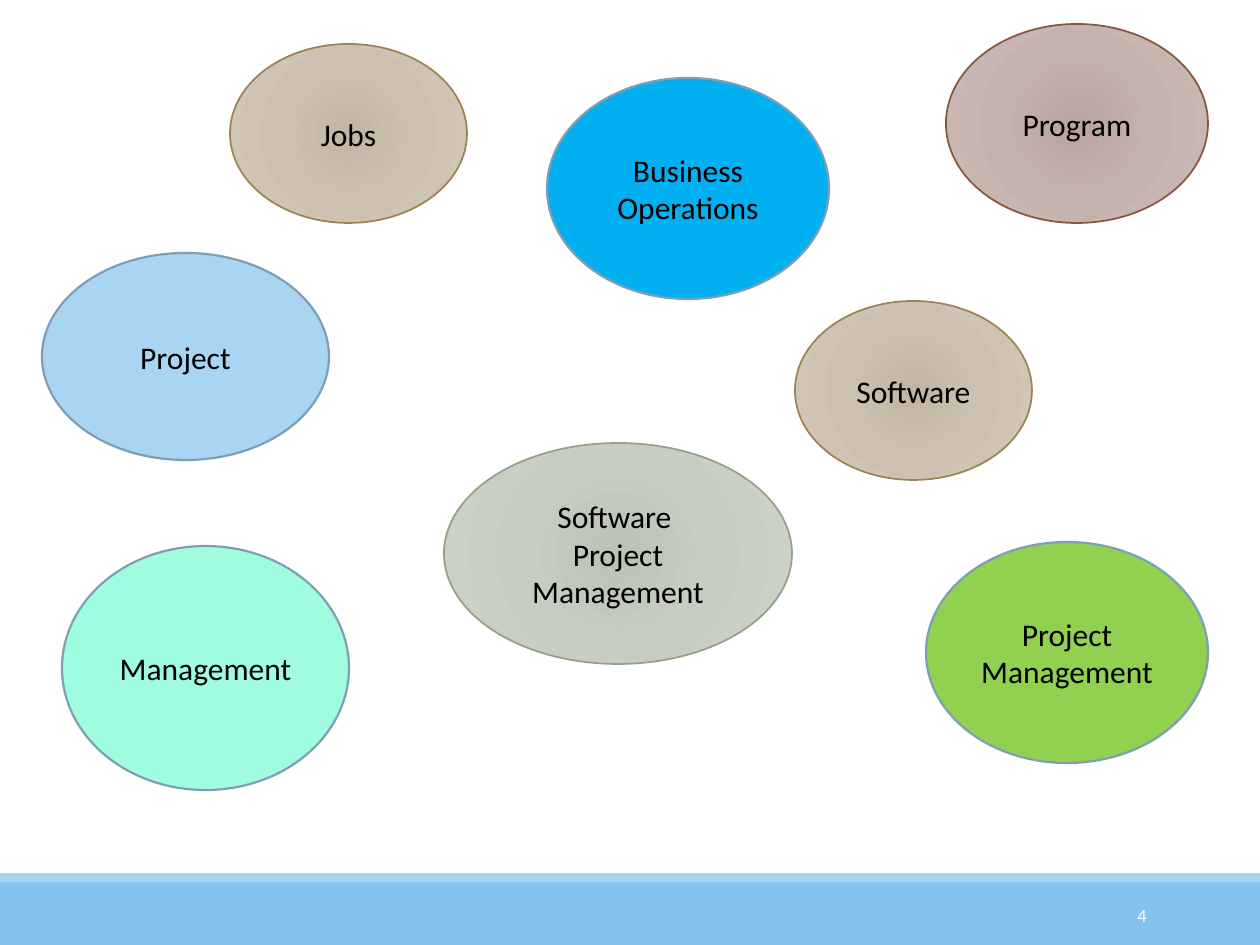
from pptx import Presentation
from pptx.dml.color import RGBColor
from pptx.enum.shapes import MSO_SHAPE
from pptx.enum.text import MSO_ANCHOR, PP_ALIGN
from pptx.oxml import parse_xml
from pptx.oxml.ns import nsdecls, qn
from pptx.util import Emu, Pt

RECT, OVAL = MSO_SHAPE.RECTANGLE, MSO_SHAPE.OVAL
MIDDLE = MSO_ANCHOR.MIDDLE
CENTER, RIGHT = PP_ALIGN.CENTER, PP_ALIGN.RIGHT

BLACK = RGBColor(0x00, 0x00, 0x00)
WHITE = RGBColor(0xFF, 0xFF, 0xFF)
BLUE = RGBColor(0x84, 0xC3, 0xED)
PALE = RGBColor(0xA9, 0xD5, 0xF3)
MINT = RGBColor(0xA0, 0xFC, 0xE0)
GREEN = RGBColor(0x92, 0xD0, 0x50)
SKY = RGBColor(0x00, 0xB0, 0xF0)
STEEL = RGBColor(0x7D, 0x9E, 0xB4)
BROWN = RGBColor(0x86, 0x56, 0x40)
TAN = RGBColor(0x9B, 0x83, 0x57)
SAGE = RGBColor(0x94, 0xA0, 0x88)

# Gradient colours from the centre outwards
ROSE = [RGBColor(0xB9, 0xA4, 0x9E), RGBColor(0xC4, 0xB2, 0xAD), RGBColor(0xCC, 0xBA, 0xB5)]
SAND = [RGBColor(0xC2, 0xB5, 0xA2), RGBColor(0xCC, 0xC1, 0xB1), RGBColor(0xD4, 0xC8, 0xB8)]
MOSS = [RGBColor(0xBB, 0xC3, 0xB5), RGBColor(0xC7, 0xCD, 0xC1), RGBColor(0xCD, 0xD4, 0xC7)]
STOPS = [0, 45, 100]

SCALE = 914400 / 126  # EMU per px


def write(shape, text, align, look):
    frame = shape.text_frame
    frame.word_wrap = True
    frame.vertical_anchor = MIDDLE
    frame.text = text
    for para in frame.paragraphs:
        para.alignment = align
        for run in para.runs:
            run.font.color.rgb = look["color"]
            for name in ("name", "size"):
                setattr(run.font, name, look[name])


def shade(shape, colors):
    """Fill the shape with a circular gradient."""
    stops = "".join(
        f'<a:gs pos="{pos * 1000}"><a:srgbClr val="{color}"/></a:gs>'
        for pos, color in zip(STOPS, colors)
    )
    shape.fill.gradient()
    props = shape._element.spPr
    props.replace(props.find(qn("a:gradFill")), parse_xml(
        f'<a:gradFill {nsdecls("a")} rotWithShape="1"><a:gsLst>{stops}</a:gsLst>'
        '<a:path path="circle"><a:fillToRect l="100000" t="100000" r="100000" b="100000"/>'
        '</a:path></a:gradFill>'))


deck = Presentation()
deck.slide_width, deck.slide_height = Emu(round(1260 * SCALE)), Emu(round(945 * SCALE))
slide = deck.slides.add_slide(deck.slide_layouts[6])
shapes = slide.shapes

# Footer bands
for top, height, color in [(882, 63, BLUE), (873, 9, PALE)]:
    box = [Emu(round(n * SCALE)) for n in (0, top, 1260, height)]
    band = shapes.add_shape(RECT, *box)
    band.shadow.inherit = False
    band.fill.solid()
    band.fill.fore_color.rgb = color
    band.line.fill.background()

# Slide number
box = [Emu(round(n * SCALE)) for n in (1023, 890, 136, 50)]
number = shapes.add_textbox(*box)
write(number, "4", RIGHT, {"name": "Calibri", "size": Pt(10.5), "color": WHITE})

# Concept bubbles: text, box in px, fill, line colour
BUBBLES = [
    ("Project", (42, 253, 287, 207), PALE, STEEL),
    ("Management", (62, 546, 287, 244), MINT, STEEL),
    ("Program", (946, 24, 262, 199), ROSE, BROWN),
    ("Project Management", (926, 542, 282, 221), GREEN, STEEL),
    ("Software", (795, 301, 237, 179), SAND, TAN),
    ("Software \nProject Management", (444, 443, 348, 221), MOSS, SAGE),
    ("Jobs", (230, 44, 237, 179), SAND, TAN),
    ("Business Operations", (547, 78, 282, 221), SKY, STEEL),
]
LABEL = {"name": "Calibri", "size": Pt(18), "color": BLACK}
for text, place, fill, edge in BUBBLES:
    box = [Emu(round(n * SCALE)) for n in place]
    bubble = shapes.add_shape(OVAL, *box)
    bubble.shadow.inherit = False
    if isinstance(fill, list):
        shade(bubble, fill)
    else:
        bubble.fill.solid()
        bubble.fill.fore_color.rgb = fill
    bubble.line.color.rgb = edge
    bubble.line.width = Pt(1.25 if edge == STEEL else 1)
    write(bubble, text, CENTER, LABEL)

deck.save("out.pptx")
